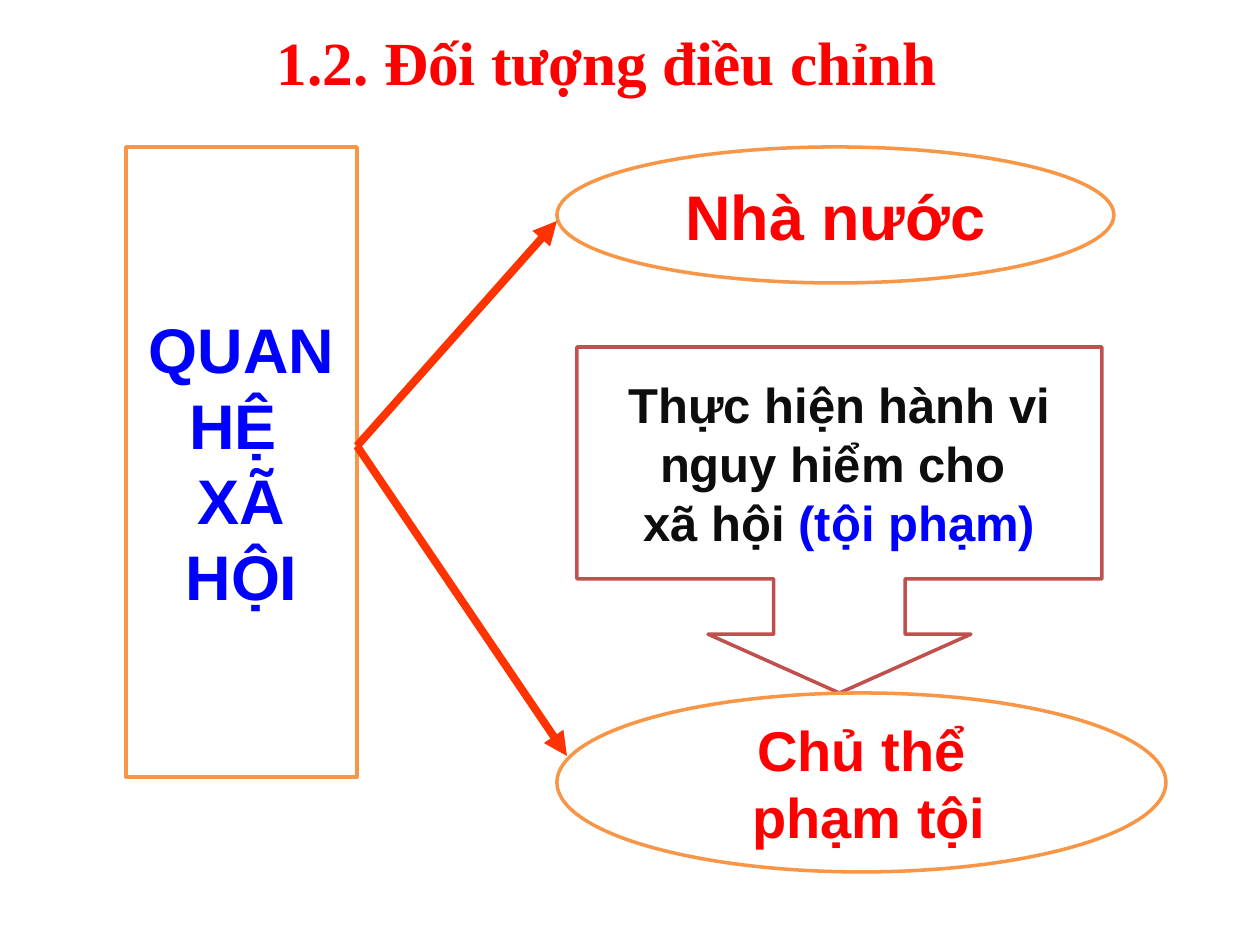
from lxml import etree
from pptx import Presentation
from pptx import util as u
from pptx.dml.color import RGBColor
from pptx.enum import shapes, text
from pptx.oxml.ns import qn

PX = 914400 // 126  # EMU per px
ORANGE, MAROON, ARROW = "F79646", "C0504D", "FF3300"
RED, BLUE, BLACK, WHITE = "FF0000", "0000FF", "0D0D0D", "FFFFFF"
MSO = shapes.MSO_SHAPE


def rgb(value):
    return RGBColor.from_string(value)


def write(tf, lines, font, size):
    """Fill a text frame with centred bold lines of (text, colour) runs."""
    for i, line in enumerate(lines):
        p = tf.paragraphs[0] if i == 0 else tf.add_paragraph()
        p.alignment = text.PP_ALIGN.CENTER
        for words, color in line:
            r = p.add_run()
            r.text = words
            fmt = {"name": font, "size": u.Pt(size), "bold": True}
            for key, value in fmt.items():
                setattr(r.font, key, value)
            r.font.color.rgb = rgb(color)


prs = Presentation()
prs.slide_width, prs.slide_height = 1260 * PX, 945 * PX
s = prs.slides.add_slide(prs.slide_layouts[5])

# Title
title = s.shapes.title
box = {"left": 40, "top": 18, "width": 1134, "height": 89}
for key, value in box.items():
    setattr(title, key, value * PX)
tf = title.text_frame
tf.vertical_anchor = text.MSO_ANCHOR.TOP
tf.auto_size = text.MSO_AUTO_SIZE.NONE
write(tf, [[("1.2. Đối tượng điều chỉnh", RED)]], "Times New Roman", 35)
tf.paragraphs[0].space_before = u.Pt(7)

# Boxes: preset, left, top, width, height, line colour, text size, lines
boxes = [
    (MSO.OVAL, 557, 147, 557, 136, ORANGE, 36, [[("Nhà nước", RED)]]),
    (MSO.RECTANGLE, 126, 147, 231, 630, ORANGE, 36,
     [[(word, BLUE)] for word in ("QUAN", "HỆ ", "XÃ", "HỘI")]),
    (MSO.DOWN_ARROW_CALLOUT, 577, 347, 525, 346, MAROON, 28,
     [[("Thực hiện hành vi", BLACK)], [("nguy hiểm cho ", BLACK)],
      [("xã hội ", BLACK), ("(tội phạm)", BLUE)]]),
    (MSO.OVAL, 557, 693, 609, 179, ORANGE, 32,
     [[("Chủ thể", RED)], [(" phạm tội", RED)]]),
]
for preset, x, y, w, h, color, size, lines in boxes:
    sp = s.shapes.add_shape(preset, x * PX, y * PX, w * PX, h * PX)
    sp.shadow.inherit = False
    sp.fill.solid()
    sp.fill.fore_color.rgb = rgb(WHITE)
    sp.line.color.rgb = rgb(color)
    sp.line.width = u.Pt(2)
    if preset == MSO.DOWN_ARROW_CALLOUT:
        for i, value in enumerate((0.38, 0.38, 0.17, 0.67)):
            sp.adjustments[i] = value
    tf = sp.text_frame
    tf.word_wrap = False
    tf.vertical_anchor = text.MSO_ANCHOR.MIDDLE
    write(tf, lines, "Arial", size)

# Arrows from the tall box to the two ovals
for x, y in ((557, 221), (567, 756)):
    arrow = s.shapes.add_connector(
        shapes.MSO_CONNECTOR.STRAIGHT, 357 * PX, 446 * PX, x * PX, y * PX)
    arrow.line.color.rgb = rgb(ARROW)
    arrow.line.width = u.Pt(4.5)
    etree.SubElement(arrow.line._get_or_add_ln(), qn("a:tailEnd"), type="triangle")
    etree.SubElement(arrow._element.spPr, qn("a:effectLst"))

prs.save("out.pptx")
